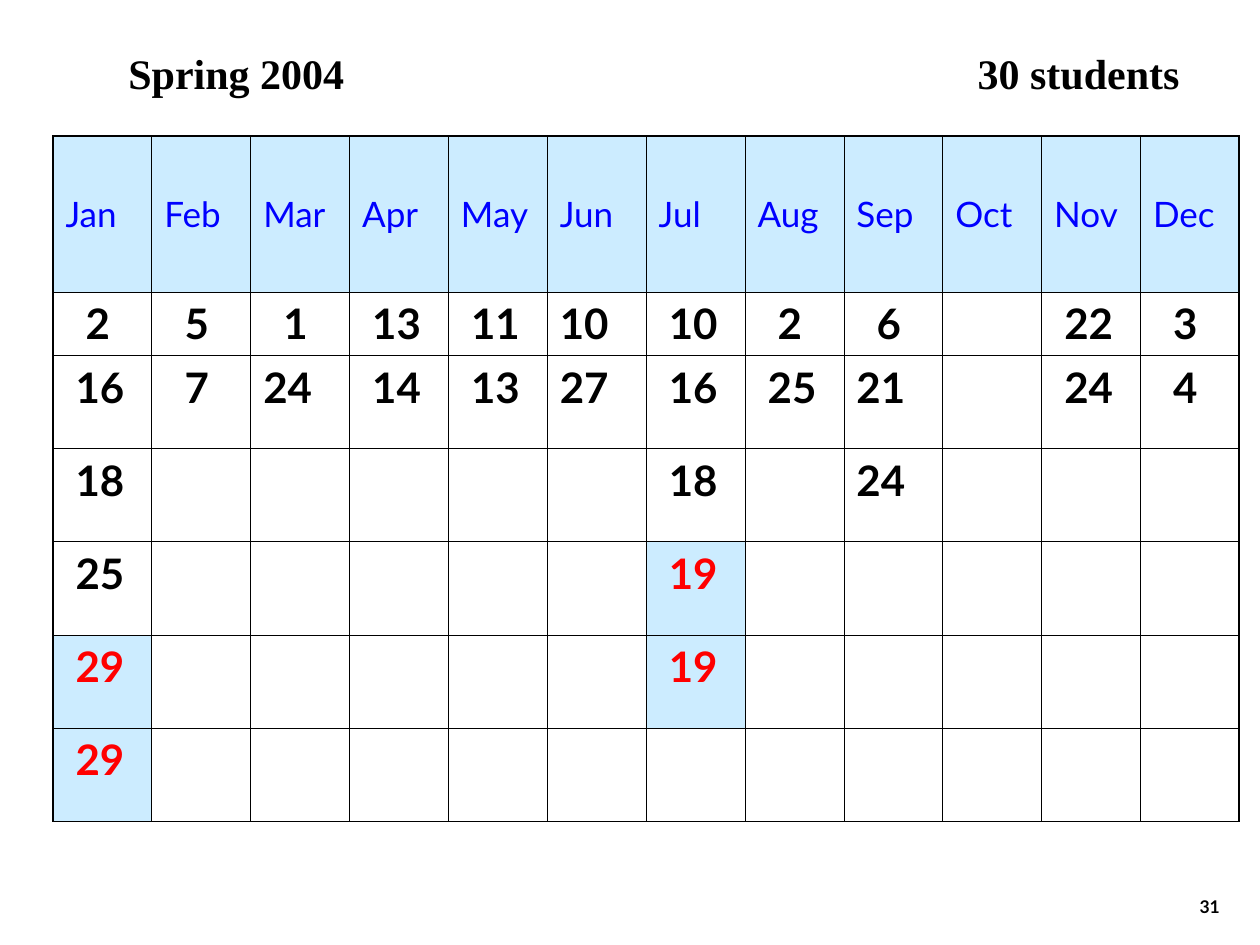
from lxml.etree import SubElement
from pptx import Presentation
from pptx.dml.color import RGBColor
from pptx.enum.text import MSO_ANCHOR as Anchor, PP_ALIGN as Align
from pptx.oxml.ns import qn
from pptx.util import Inches, Pt

BLACK, BLUE, RED, PALE_BLUE = "000000", "0000FF", "FF0000", "CCECFF"


def color(hex_value):
    return RGBColor.from_string(hex_value)


def add_run(paragraph, text, size, font_name, hex_value, bold=True):
    run = paragraph.add_run()
    run.text = text
    run.font.size = Pt(size)
    run.font.name = font_name
    run.font.bold = bold
    run.font.color.rgb = color(hex_value)


presentation = Presentation()
presentation.slide_width = Inches(10)
presentation.slide_height = Inches(7.5)
slide = presentation.slides.add_slide(presentation.slide_layouts[6])

# Page number
page_box = slide.shapes.add_textbox(Inches(7.7), Inches(6.83), Inches(2.08), Inches(0.5))
page_box.text_frame.word_wrap = True
page_box.text_frame.vertical_anchor = Anchor.BOTTOM
paragraph = page_box.text_frame.paragraphs[0]
paragraph.alignment = Align.RIGHT
add_run(paragraph, "31", 10, "Lato", BLACK)

# Heading, with a tab stop for the number of students
heading_box = slide.shapes.add_textbox(Inches(0.92), Inches(0.33), Inches(8.58), Inches(0.5))
heading_box.text_frame.word_wrap = True
paragraph = heading_box.text_frame.paragraphs[0]
tab_list = SubElement(paragraph._p.get_or_add_pPr(), qn("a:tabLst"))
SubElement(tab_list, qn("a:tab"), pos=str(Inches(6.74)), algn="l")
add_run(paragraph, "Spring 2004\t30 students", 24, "Times New Roman", BLACK)

# Days listed under each month
days_by_month = {
    "Jan": [2, 16, 18, 25, 29, 29],
    "Feb": [5, 7],
    "Mar": [1, 24],
    "Apr": [13, 14],
    "May": [11, 13],
    "Jun": [10, 27],
    "Jul": [10, 16, 18, 19, 19],
    "Aug": [2, 25],
    "Sep": [6, 21, 24],
    "Oct": [],
    "Nov": [22, 24],
    "Dec": [3, 4],
}
flush_months = {"Mar", "Jun", "Sep"}
highlighted = {("Jan", 29), ("Jul", 19)}
row_heights = [1.24, 0.5] + [0.74] * 5
column_count, row_count = len(days_by_month), len(row_heights)

# Calendar table
table = slide.shapes.add_table(
    row_count, column_count, Inches(0.42), Inches(1.08), Inches(9.42), Inches(sum(row_heights))
).table
table.first_row = False
table.horz_banding = False
for row, height in zip(table.rows, row_heights):
    row.height = Inches(height)

for column_index, (month, days) in enumerate(days_by_month.items()):
    table.columns[column_index].width = Inches(9.42 / column_count)
    for row_index in range(row_count):
        cell = table.cell(row_index, column_index)
        paragraph = cell.text_frame.paragraphs[0]

        # Borders: heavier around the outside
        outer_sides = {
            "L": column_index == 0,
            "R": column_index == column_count - 1,
            "T": row_index == 0,
            "B": row_index == row_count - 1,
        }
        cell_properties = cell._tc.get_or_add_tcPr()
        for side, is_outer in outer_sides.items():
            width = Pt(1.08 if is_outer else 0.45)
            border = SubElement(cell_properties, qn(f"a:ln{side}"), w=str(width))
            border_fill = SubElement(border, qn("a:solidFill"))
            SubElement(border_fill, qn("a:srgbClr"), val=BLACK)

        # Month name or day, with its fill
        day = days[row_index - 1] if 0 < row_index <= len(days) else None
        is_highlighted = (month, day) in highlighted
        if row_index == 0 or is_highlighted:
            cell.fill.solid()
            cell.fill.fore_color.rgb = color(PALE_BLUE)
        else:
            cell.fill.background()
        if row_index == 0:
            cell.vertical_anchor = Anchor.MIDDLE
            add_run(paragraph, month, 20, "Lato", BLUE, bold=False)
        elif day is not None:
            indent_steps = 2 if day < 10 else 0 if month in flush_months else 1
            cell.margin_left = Inches(0.1 + 0.08 * indent_steps)
            add_run(paragraph, str(day), 24, "Lato", RED if is_highlighted else BLACK)

presentation.save("out.pptx")
